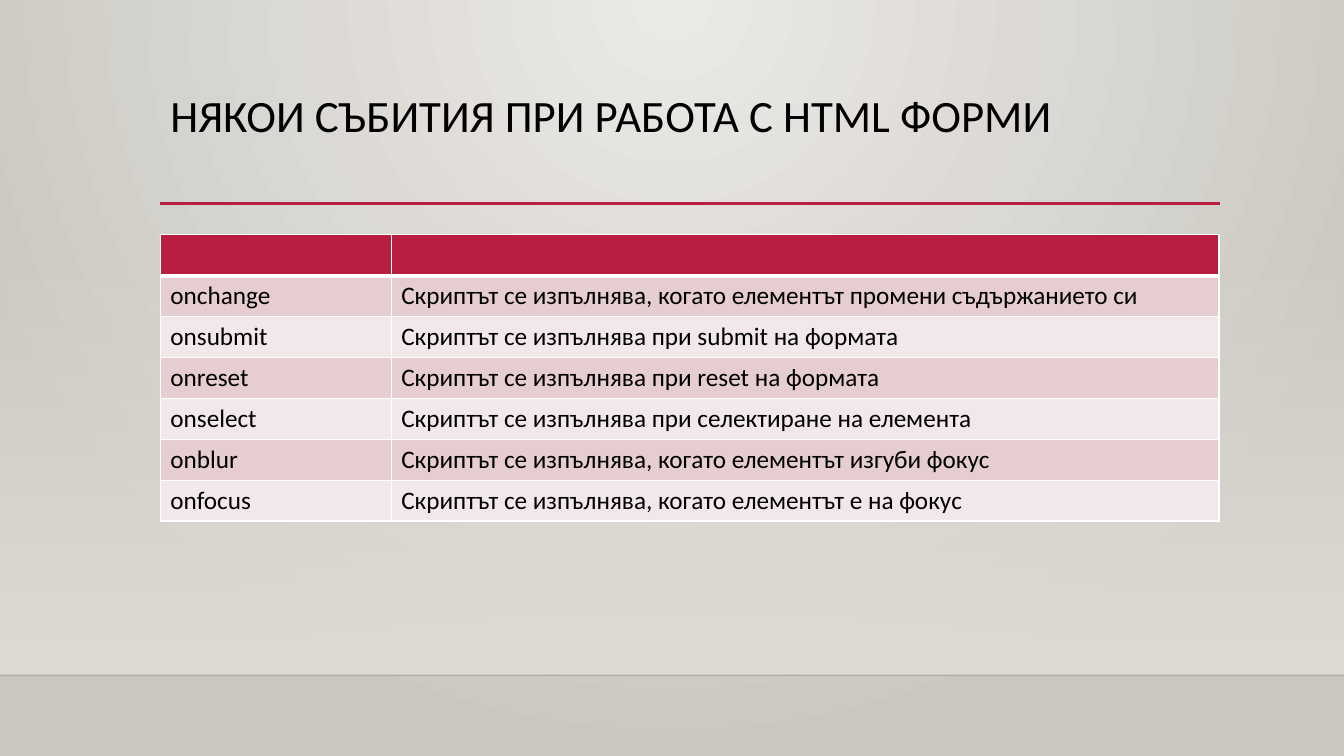
from lxml.etree import SubElement
from pptx import Presentation
from pptx.dml.color import RGBColor
from pptx.enum.shapes import MSO_CONNECTOR as Connector, MSO_SHAPE as Shape
from pptx.enum.text import MSO_ANCHOR as Anchor, PP_ALIGN as Align
from pptx.oxml.ns import qn
from pptx.util import Inches, Pt

# Content
TITLE = "НЯКОИ СЪБИТИЯ ПРИ РАБОТА С HTML ФОРМИ"
EVENTS = [
    ("", ""),
    ("onchange", "Скриптът се изпълнява, когато елементът промени съдържанието си"),
    ("onsubmit", "Скриптът се изпълнява при submit на формата"),
    ("onreset", "Скриптът се изпълнява при reset на формата"),
    ("onselect", "Скриптът се изпълнява при селектиране на елемента"),
    ("onblur", "Скриптът се изпълнява, когато елементът изгуби фокус"),
    ("onfocus", "Скриптът се изпълнява, когато елементът е на фокус"),
]

# Format values
CRIMSON, WHITE, BLACK = "B71E42", "FFFFFF", "000000"
ROW_FILLS = ["E6CDCF", "F3E8E9"]
SLIDE_W, SLIDE_H = 13.33, 7.5
LEFT, WIDTH = 1.59, 10.5
COLUMNS = [2.29, 8.21]
FLOOR_TOP = 6.7
TITLE_FONT = {"name": "Calibri", "size": Pt(32), "bold": False}
CELL_FONT = {"name": "Calibri", "size": Pt(18), "bold": False}


def rgb(value):
    return RGBColor.from_string(value)


def style_font(font, values):
    for key, value in values.items():
        setattr(font, key, value)
    font.color.rgb = rgb(BLACK)


def set_gradient(fill, colors):
    fill.gradient()
    for stop, position, color in zip(fill.gradient_stops, (0, 1), colors):
        stop.position = position
        stop.color.rgb = rgb(color)


def add_alpha(parent, percent):
    color = next(parent.iter(qn("a:srgbClr")))
    SubElement(color, qn("a:alpha"), val=str(percent * 1000))


def add_rule(shapes, x1, x2, y, color, width):
    rule = shapes.add_connector(
        Connector.STRAIGHT, Inches(x1), Inches(y), Inches(x2), Inches(y))
    rule.line.color.rgb = rgb(color)
    rule.line.width = Pt(width)
    SubElement(rule._element.spPr, qn("a:effectLst"))
    return rule


def set_borders(cell, widths):
    props = cell._tc.get_or_add_tcPr()
    for side, width in widths.items():
        border = SubElement(props, qn(f"a:ln{side}"), w=str(Pt(width)))
        fill = SubElement(border, qn("a:solidFill"))
        SubElement(fill, qn("a:srgbClr"), val=WHITE)


prs = Presentation()
prs.slide_width, prs.slide_height = Inches(SLIDE_W), Inches(SLIDE_H)
slide = prs.slides.add_slide(prs.slide_layouts[5])
shapes = slide.shapes

# Background with a glow from the top centre
set_gradient(slide.background.fill, ["ECEAE7", "CAC7C1"])
glow = next(slide._element.iter(qn("a:gradFill")))
glow.remove(glow.find(qn("a:lin")))
circle = SubElement(glow, qn("a:path"), path="circle")
SubElement(circle, qn("a:fillToRect"), l="43000", t="0", r="43000", b="100000")

# Wall fading in towards the floor line
wall = shapes.add_shape(
    Shape.RECTANGLE, 0, Inches(2.21), Inches(SLIDE_W), Inches(FLOOR_TOP - 2.21))
wall.shadow.inherit = False
wall.line.fill.background()
set_gradient(wall.fill, ["DFDBD5", "DFDBD5"])
wall.fill.gradient_angle = 270
add_alpha(wall._element.spPr, 0)

# Floor line and title rule
floor = add_rule(shapes, 0, SLIDE_W, FLOOR_TOP, "000001", 1)
add_alpha(floor._element.spPr, 20)
add_rule(shapes, LEFT, 12.1, 2.02, CRIMSON, 2.5)

# Title
title = shapes.title
title.left, title.top = Inches(LEFT), Inches(0.88)
title.width, title.height = Inches(WIDTH), Inches(1.15)
title.text_frame.text = TITLE
title.text_frame.vertical_anchor = Anchor.TOP
heading = title.text_frame.paragraphs[0]
heading.alignment = Align.LEFT
heading.line_spacing = 0.9
style_font(heading.runs[0].font, TITLE_FONT)

# Event table
events = shapes.add_table(
    len(EVENTS), len(COLUMNS), Inches(LEFT), Inches(2.33), Inches(WIDTH), Inches(2.84)
).table
for column, width in zip(events.columns, COLUMNS):
    column.width = Inches(width)
for r, row in enumerate(EVENTS):
    for c, text in enumerate(row):
        cell = events.cell(r, c)
        set_borders(cell, {"L": 1, "R": 1, "T": 3 if r == 1 else 1, "B": 3 if r == 0 else 1})
        cell.fill.solid()
        cell.fill.fore_color.rgb = rgb(ROW_FILLS[(r - 1) % 2] if r else CRIMSON)
        cell.text = text
        style_font(cell.text_frame.paragraphs[0].font, CELL_FONT)
        for run in cell.text_frame.paragraphs[0].runs:
            style_font(run.font, CELL_FONT)

prs.save("out.pptx")
